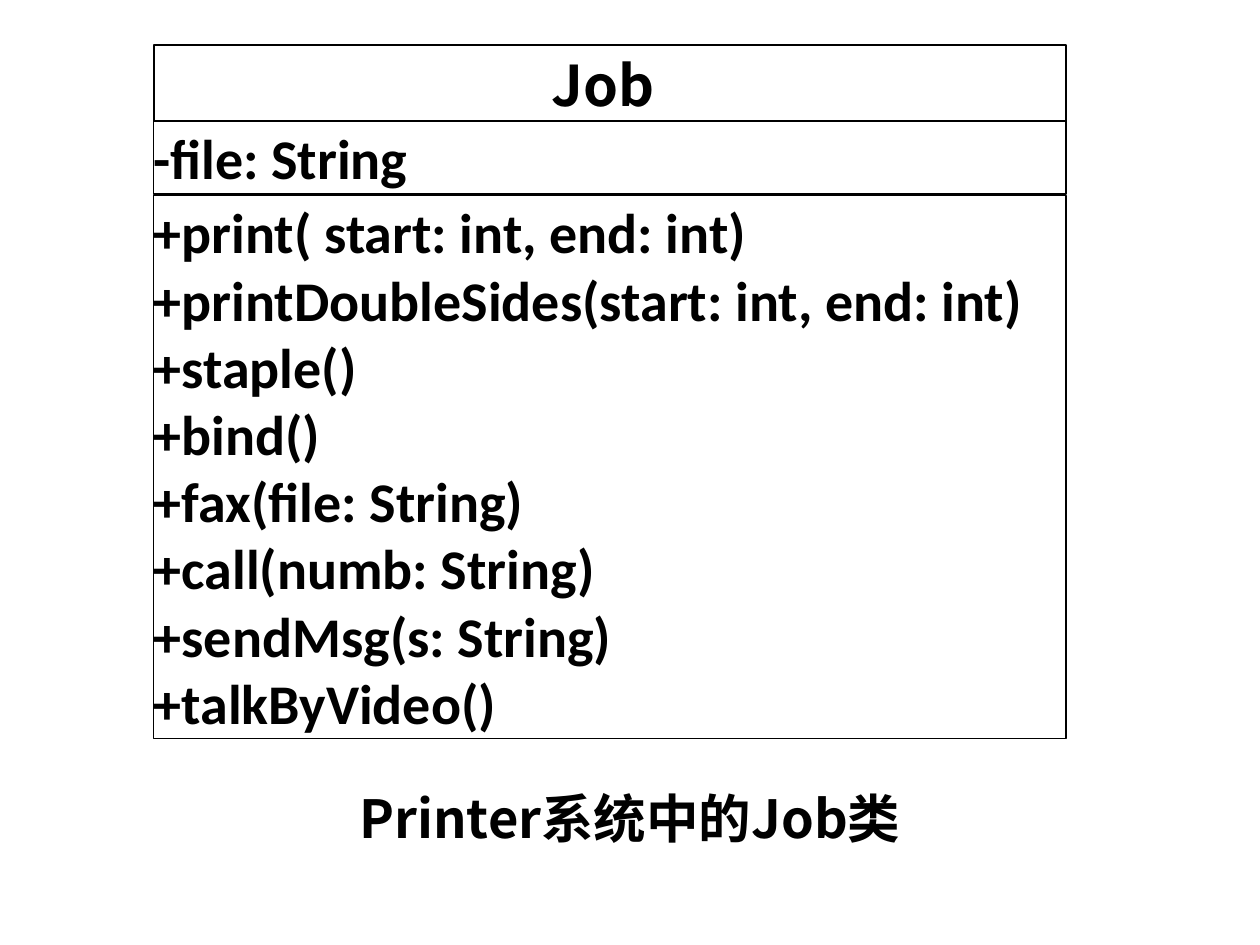
from pptx import Presentation
from pptx.dml.color import RGBColor
from pptx.enum.shapes import MSO_SHAPE as Shape
from pptx.enum.text import MSO_ANCHOR as Anchor, MSO_AUTO_SIZE as AutoSize, PP_ALIGN as Align
from pptx.oxml.ns import qn
from pptx.util import Inches, Pt

BLACK = RGBColor(0, 0, 0)
WHITE = RGBColor(255, 255, 255)
LATIN = "Calibri"
CJK = "Noto Sans CJK SC"

CLASS_LEFT, CLASS_WIDTH = 1.22, 7.24
OPERATIONS = [
    "+print( start: int, end: int)",
    "+printDoubleSides(start: int, end: int)",
    "+staple()",
    "+bind()",
    "+fax(file: String)",
    "+call(numb: String)",
    "+sendMsg(s: String)",
    "+talkByVideo()",
]


class ClassDiagram:
    def __init__(self, page):
        self.page = page

    def add_lines(self, frame, lines, font, size, align):
        frame.word_wrap = True
        frame.auto_size = AutoSize.SHAPE_TO_FIT_TEXT
        style = {"name": font, "size": Pt(size), "bold": True}
        for index, line in enumerate(lines):
            para = frame.paragraphs[0] if index == 0 else frame.add_paragraph()
            para.alignment = align
            span = para.add_run()
            span.text = line
            for key, value in style.items():
                setattr(span.font, key, value)
            span.font.color.rgb = BLACK
            east_asian = span.font._element.makeelement(qn("a:ea"), {"typeface": font})
            span.font._element.append(east_asian)

    def compartment(self, top, height, lines, font=LATIN, align=Align.LEFT,
                    anchor=Anchor.TOP, line_width=0.75, inset=0.02):
        """Draw one bordered section of the class box."""
        box = self.page.shapes.add_shape(
            Shape.RECTANGLE, Inches(CLASS_LEFT), Inches(top),
            Inches(CLASS_WIDTH), Inches(height))
        box.shadow.inherit = False
        box.fill.solid()
        box.fill.fore_color.rgb = WHITE
        box.line.color.rgb = BLACK
        box.line.width = Pt(line_width)
        layout = {
            "margin_left": 0, "margin_right": 0,
            "margin_top": Inches(inset), "margin_bottom": Inches(inset),
            "vertical_anchor": anchor,
        }
        for key, value in layout.items():
            setattr(box.text_frame, key, value)
        self.add_lines(box.text_frame, lines, font, 32, align)

    def caption(self, left, top, width, height, text):
        box = self.page.shapes.add_textbox(
            Inches(left), Inches(top), Inches(width), Inches(height))
        self.add_lines(box.text_frame, [text], CJK, 30, Align.CENTER)


def main():
    deck = Presentation()
    deck.slide_width, deck.slide_height = Inches(10), Inches(7.5)
    diagram = ClassDiagram(deck.slides.add_slide(deck.slide_layouts[6]))
    diagram.compartment(0.36, 0.62, ["Job "], CJK, Align.CENTER,
                        Anchor.MIDDLE, line_width=1, inset=0.03)
    diagram.compartment(0.96, 0.58, ["-file: String"])
    diagram.compartment(1.55, 4.31, OPERATIONS)
    diagram.caption(1.93, 6.19, 6.14, 0.61, "Printer系统中的Job类")
    deck.save("out.pptx")


if __name__ == "__main__":
    main()
